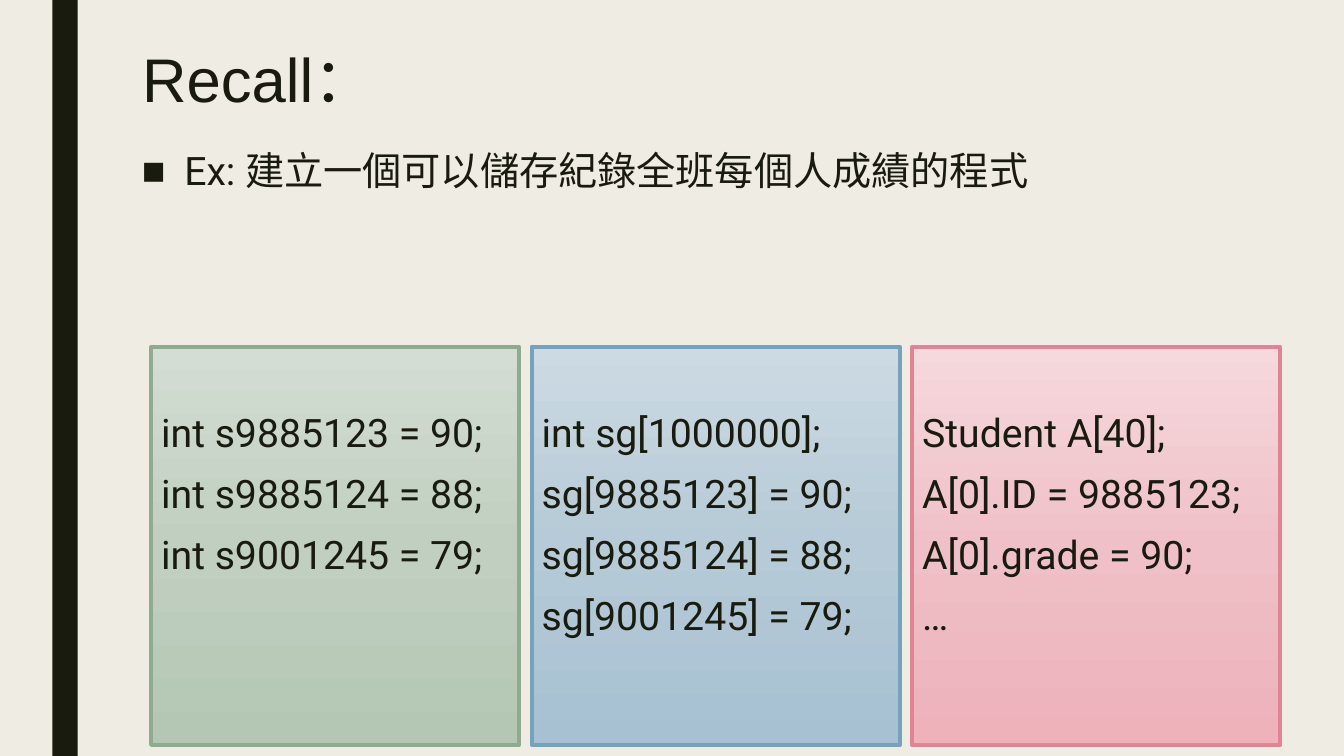
from copy import deepcopy
from dataclasses import dataclass

from lxml import etree
from pptx import Presentation
from pptx.dml.color import RGBColor
from pptx.enum.shapes import MSO_SHAPE
from pptx.enum.text import MSO_ANCHOR, MSO_AUTO_SIZE, PP_ALIGN
from pptx.oxml.ns import qn
from pptx.util import Inches, Pt

RECTANGLE = MSO_SHAPE.RECTANGLE
TOP = MSO_ANCHOR.TOP
NO_AUTOFIT = MSO_AUTO_SIZE.NONE
LEFT = PP_ALIGN.LEFT


@dataclass(frozen=True)
class Theme:
    paper: str = "EFEDE3"
    ink: str = "191B0E"
    green: tuple = ("8DAB8E", "D3DDD3", "C0CFC0", "B4C7B5")
    blue: tuple = ("77A2BB", "CCDAE3", "B6CAD7", "A7C1D2")
    pink: tuple = ("E28394", "F6D9DD", "EFC0C7", "EEB2BB")
    heading_font: str = "Arial"
    body_font: str = "Roboto"
    heading_size: int = 44
    body_size: int = 28
    border: int = 3


def rgb(code):
    return RGBColor.from_string(code)


def write(frame, lines, *, font, size, color, spacing, before=0, after=0, inset_top=0.05):
    frame.word_wrap = True
    frame.auto_size = NO_AUTOFIT
    frame.vertical_anchor = TOP
    frame.margin_left = frame.margin_right = Inches(0.1)
    frame.margin_top, frame.margin_bottom = Inches(inset_top), Inches(0.05)
    for index, line in enumerate(lines):
        paragraph = frame.add_paragraph() if index else frame.paragraphs[0]
        paragraph.alignment = LEFT
        paragraph.line_spacing = spacing
        paragraph.space_before, paragraph.space_after = Pt(before), Pt(after)
        run = paragraph.add_run()
        run.text = line
        run.font.name, run.font.size = font, Pt(size)
        run.font.color.rgb = rgb(color)


class LessonSlide:
    COLUMNS, ROWS = 160, 90

    def __init__(self, deck, theme):
        self.theme = theme
        self.column = deck.slide_width / self.COLUMNS
        self.row = deck.slide_height / self.ROWS
        self.slide = deck.slides.add_slide(deck.slide_layouts[5])
        self.slide.background.fill.solid()
        self.slide.background.fill.fore_color.rgb = rgb(theme.paper)
        self.body_format = dict(font=theme.body_font, size=theme.body_size, color=theme.ink,
                                spacing=0.94, before=10, after=2)

    def place(self, left, top, width, height):
        return (round(left * self.column), round(top * self.row),
                round(width * self.column), round(height * self.row))

    def rectangle(self, *area):
        shape = self.slide.shapes.add_shape(RECTANGLE, *self.place(*area))
        shape.shadow.inherit = False
        return shape

    def title(self, text, *area):
        heading = self.slide.shapes.title
        heading.left, heading.top, heading.width, heading.height = self.place(*area)
        write(heading.text_frame, [text], font=self.theme.heading_font,
              size=self.theme.heading_size, color=self.theme.ink, spacing=0.89)

    def bar(self, *area):
        stripe = self.rectangle(*area)
        stripe.fill.solid()
        stripe.fill.fore_color.rgb = rgb(self.theme.ink)
        stripe.line.fill.background()

    def bullet(self, text, *area):
        example = self.slide.shapes.add_textbox(*self.place(*area)).text_frame
        write(example, [text], **self.body_format)
        properties = example.paragraphs[0]._p.get_or_add_pPr()
        properties.set("marL", str(Inches(0.42)))
        properties.set("indent", str(Inches(-0.42)))
        etree.SubElement(properties, qn("a:buFont"), typeface=self.theme.heading_font)
        etree.SubElement(properties, qn("a:buChar"), char="■")

    def code_panel(self, lines, palette, *area):
        border, *shades = palette
        panel = self.rectangle(*area)
        panel.fill.gradient()
        panel.fill.gradient_angle = 270
        stop_list = next(panel.element.iter(qn("a:gsLst")))
        stop_list.insert(1, deepcopy(stop_list[0]))
        for stop, shade, position in zip(panel.fill.gradient_stops, shades, (0, 0.5, 1)):
            stop.color.rgb = rgb(shade)
            stop.position = position
        panel.line.color.rgb = rgb(border)
        panel.line.width = Pt(self.theme.border)
        write(panel.text_frame, lines, inset_top=0.65, **self.body_format)


def main():
    deck = Presentation()
    deck.slide_width, deck.slide_height = Inches(13.33), Inches(7.5)
    theme = Theme()
    lesson = LessonSlide(deck, theme)
    lesson.bar(6.24, 0, 3, 90)
    lesson.title("Recall：", 15.72, 5.28, 110.88, 12)
    lesson.bullet("Ex: 建立一個可以儲存紀錄全班每個人成績的程式", 15.72, 17.28, 138.6, 71.16)

    approaches = [
        (theme.green, ["int s9885123 = 90;", "int s9885124 = 88;", "int s9001245 = 79;"]),
        (theme.blue, ["int sg[1000000];", "sg[9885123] = 90;", "sg[9885124] = 88;",
                      "sg[9001245] = 79;"]),
        (theme.pink, ["Student A[40];", "A[0].ID = 9885123;", "A[0].grade = 90;", "…"]),
    ]
    first_left, pitch = 18, 45.3
    for index, (palette, code) in enumerate(approaches):
        lesson.code_panel(code, palette, first_left + index * pitch, 41.28, 43.8, 47.4)
    deck.save("out.pptx")


if __name__ == "__main__":
    main()
